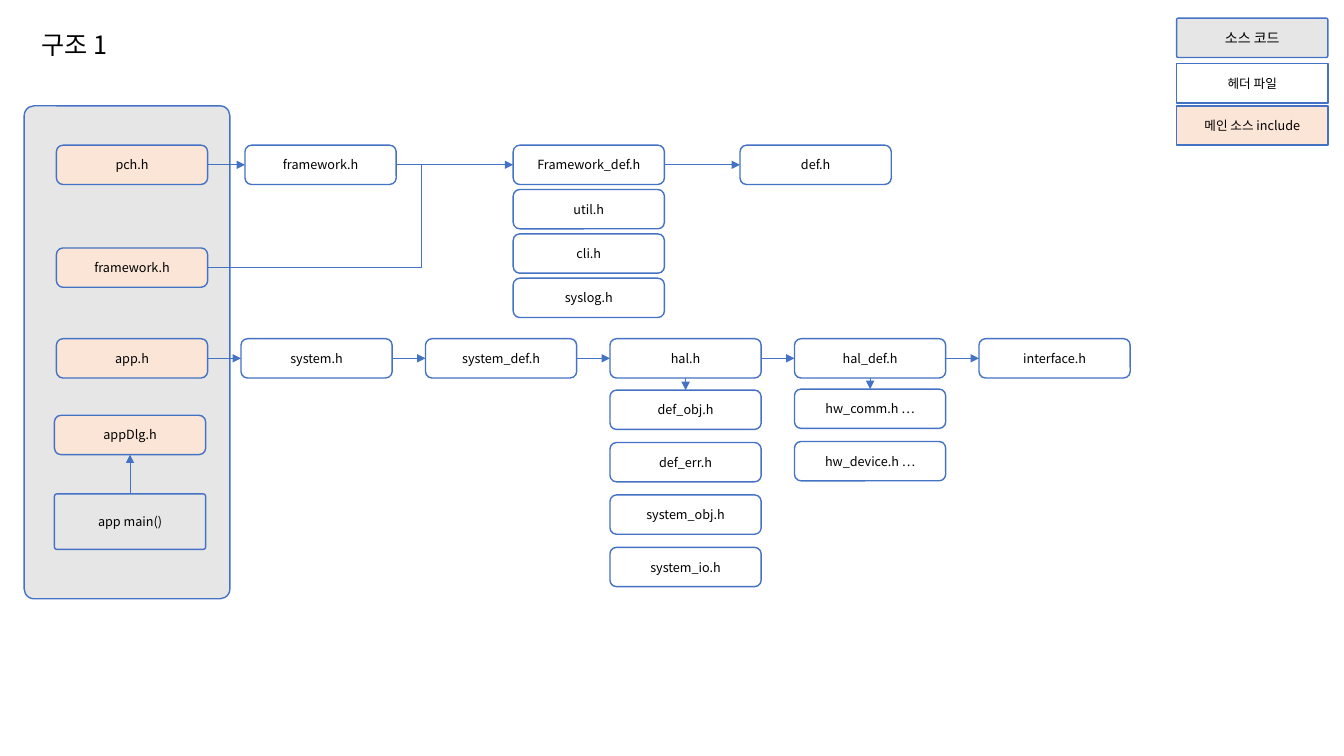
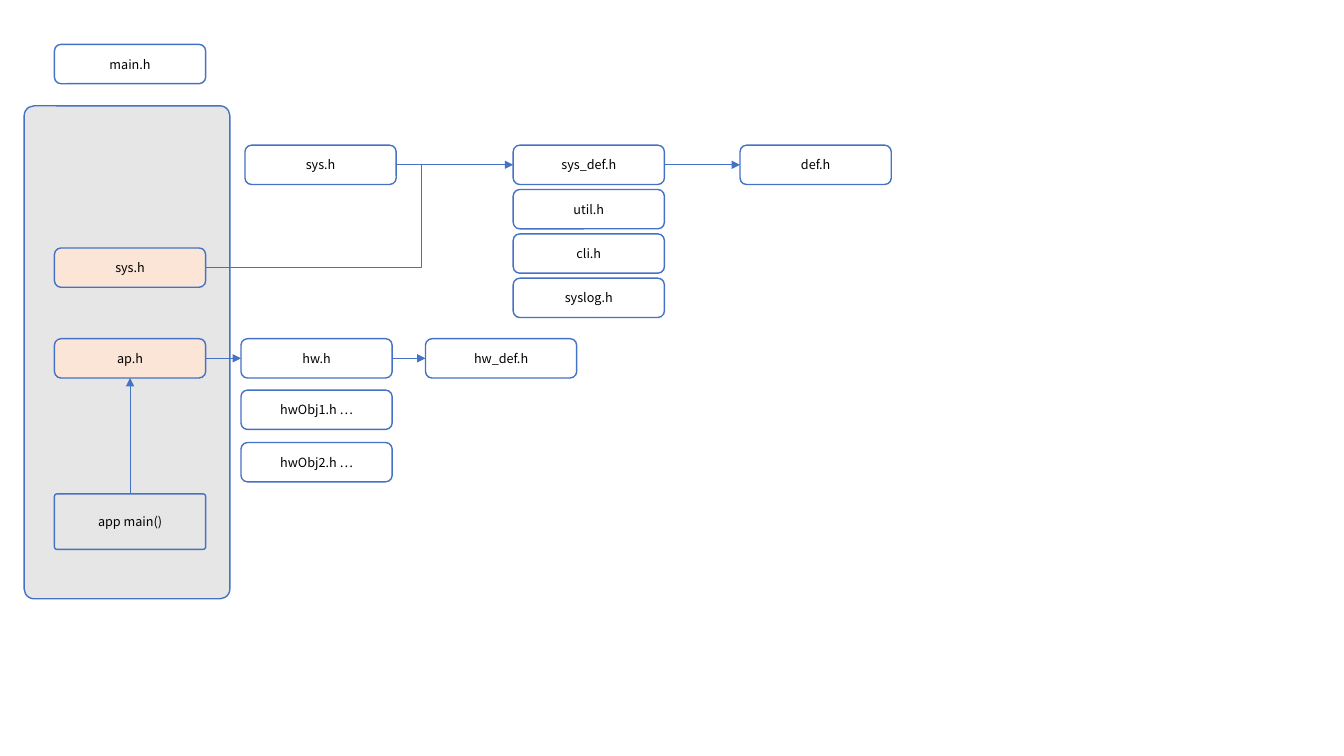
from dataclasses import dataclass
from itertools import pairwise

from lxml import etree
from pptx import Presentation
from pptx import util as u
from pptx.dml.color import RGBColor
from pptx.enum import shapes, text
from pptx.oxml.ns import qn

PX = 9144  # EMU in one px, 100 px to the inch
FONT = "Noto Sans CJK KR"
BLACK = RGBColor(0x00, 0x00, 0x00)
WHITE = RGBColor(0xFF, 0xFF, 0xFF)
GREY = RGBColor(0xE7, 0xE6, 0xE6)
PEACH = RGBColor(0xFB, 0xE5, 0xD6)
BLUE = RGBColor(0x44, 0x72, 0xC4)

TOP, LEFT, BOTTOM, RIGHT = range(4)
UPPER_ROW, MIDDLE_ROW, LOWER_ROW = 144, 246, 336
CHAIN_LEFT, CHAIN_STEP = 239, 183
UTILITY_LEFT, UTILITY_STEP = 509, 44
OBJECT_STEP = 52
BEND = 418  # x where the bent line turns


@dataclass(frozen=True)
class Node:
    label: str
    left: int
    top: int
    fill: RGBColor = WHITE
    width: int = 150
    height: int = 39
    radius: float = 0.167
    size: int = 9


@dataclass(frozen=True)
class Link:
    start: Node
    end: Node
    start_side: int = RIGHT
    end_side: int = LEFT
    bend: int | None = None


# Parts found on both slides
PANEL = Node("", 24, 105, GREY, 204, 489, 0.048)
MAIN = Node("app main()", 54, 490, GREY, height=55, radius=0.043)
DEFINITIONS = Node("def.h", 734, UPPER_ROW)


def px(length: int) -> u.Emu:
    return u.Emu(length * PX)


def stack(labels: list[str], left: int, top: int, step: int) -> list[Node]:
    return [Node(label, left, top + step * i) for i, label in enumerate(labels)]


def chain(labels: list[str]) -> list[Node]:
    return [Node(label, CHAIN_LEFT + CHAIN_STEP * i, LOWER_ROW)
            for i, label in enumerate(labels)]


def utilities(first: str) -> list[Node]:
    return stack([first, "util.h", "cli.h", "syslog.h"],
                 UTILITY_LEFT, UPPER_ROW, UTILITY_STEP)


def links_along(nodes: list[Node]) -> list[Link]:
    return [Link(start, end) for start, end in pairwise(nodes)]


def write(frame, label: str, size: int) -> None:
    para = frame.paragraphs[0]
    para.text = label
    para.font.size = u.Pt(size)
    para.font.name = FONT
    para.font.color.rgb = BLACK
    properties = para._p.pPr.find(qn("a:defRPr"))
    etree.SubElement(properties, qn("a:ea"), typeface=FONT)


def draw_node(page, node: Node):
    box = page.shapes.add_shape(
        shapes.MSO_SHAPE.ROUNDED_RECTANGLE,
        px(node.left), px(node.top), px(node.width), px(node.height))
    box.adjustments[0] = node.radius
    box.shadow.inherit = False
    box.fill.solid()
    box.fill.fore_color.rgb = node.fill
    box.line.color.rgb = BLUE
    box.line.width = u.Pt(1)
    if node.label:
        frame = box.text_frame
        frame.margin_left = frame.margin_right = 0
        frame.margin_top = frame.margin_bottom = 0
        frame.vertical_anchor = text.MSO_ANCHOR.MIDDLE
        write(frame, node.label, node.size)
        frame.paragraphs[0].alignment = text.PP_ALIGN.CENTER
    return box


def draw_link(page, link: Link, boxes: dict) -> None:
    kind = shapes.MSO_CONNECTOR
    line = page.shapes.add_connector(
        kind.STRAIGHT if link.bend is None else kind.ELBOW, 0, 0, 0, 0)
    line.begin_connect(boxes[link.start], link.start_side)
    line.end_connect(boxes[link.end], link.end_side)
    line.line.color.rgb = BLUE
    line.line.width = u.Pt(0.5)
    properties = line._element.spPr
    if link.bend is None:
        etree.SubElement(line.line._get_or_add_ln(), qn("a:tailEnd"),
                         type="triangle")
    else:
        share = (px(link.bend) - line.begin_x) / (line.end_x - line.begin_x)
        guides = properties.find(qn("a:prstGeom")).get_or_add_avLst()
        etree.SubElement(guides, qn("a:gd"), name="adj1",
                         fmla=f"val {round(share * 100000)}")
    etree.SubElement(properties, qn("a:effectLst"))


def draw_diagram(page, nodes: list[Node], links: list[Link]) -> None:
    boxes = {node: draw_node(page, node) for node in nodes}
    for link in links:
        draw_link(page, link, boxes)


def draw_title(page, label: str) -> None:
    box = page.shapes.add_textbox(px(31), px(24), px(159), px(40))
    box.text_frame.word_wrap = True
    write(box.text_frame, label, 18)


def build_framework_page(page) -> None:
    draw_title(page, "구조 1")
    legend = [
        Node("소스 코드", 1167, 18, GREY, radius=0.043, size=10),
        Node("헤더 파일", 1167, 63, radius=0),
        Node("메인 소스 include", 1167, 105, PEACH, radius=0),
    ]
    # Headers included by the main source
    precompiled = Node("pch.h", 56, UPPER_ROW, PEACH)
    framework = Node("framework.h", 56, MIDDLE_ROW, PEACH)
    app = Node("app.h", 56, LOWER_ROW, PEACH)
    dialog = Node("appDlg.h", 54, 412, PEACH)
    # Headers they lead to
    framework_file = Node("framework.h", 243, UPPER_ROW)
    tools = utilities("Framework_def.h")
    system = chain(["system.h", "system_def.h", "hal.h", "hal_def.h",
                    "interface.h"])
    hal, hal_def = system[2:4]
    objects = stack(["def_obj.h", "def_err.h", "system_obj.h", "system_io.h"],
                    hal.left, 387, OBJECT_STEP)
    hardware = stack(["hw_comm.h …", "hw_device.h …"],
                     hal_def.left, 386, OBJECT_STEP)
    draw_diagram(
        page,
        [PANEL, MAIN, *legend, precompiled, framework, app, dialog,
         framework_file, *tools, DEFINITIONS, *system, *objects, *hardware],
        [*links_along([precompiled, framework_file, tools[0], DEFINITIONS]),
         *links_along([app, *system]),
         Link(MAIN, dialog, TOP, BOTTOM),
         Link(hal, objects[0], BOTTOM, TOP),
         Link(hal_def, hardware[0], BOTTOM, TOP),
         Link(framework, framework_file, RIGHT, RIGHT, BEND)])


def build_system_page(page) -> None:
    main_header = Node("main.h", 54, 44)
    system = Node("sys.h", 54, MIDDLE_ROW, PEACH)
    app = Node("ap.h", 54, LOWER_ROW, PEACH)
    system_file = Node("sys.h", 243, UPPER_ROW)
    tools = utilities("sys_def.h")
    hardware = chain(["hw.h", "hw_def.h"])
    objects = stack(["hwObj1.h …", "hwObj2.h …"],
                    CHAIN_LEFT, 387, OBJECT_STEP)
    draw_diagram(
        page,
        [PANEL, MAIN, main_header, system, app, system_file, *tools,
         DEFINITIONS, *hardware, *objects],
        [*links_along([system_file, tools[0], DEFINITIONS]),
         *links_along([app, *hardware]),
         Link(MAIN, app, TOP, BOTTOM),
         Link(system, system_file, RIGHT, RIGHT, BEND)])


def main() -> None:
    deck = Presentation()
    deck.slide_width, deck.slide_height = px(1333), px(750)
    for build in (build_framework_page, build_system_page):
        build(deck.slides.add_slide(deck.slide_layouts[6]))
    deck.save("out.pptx")


if __name__ == "__main__":
    main()
